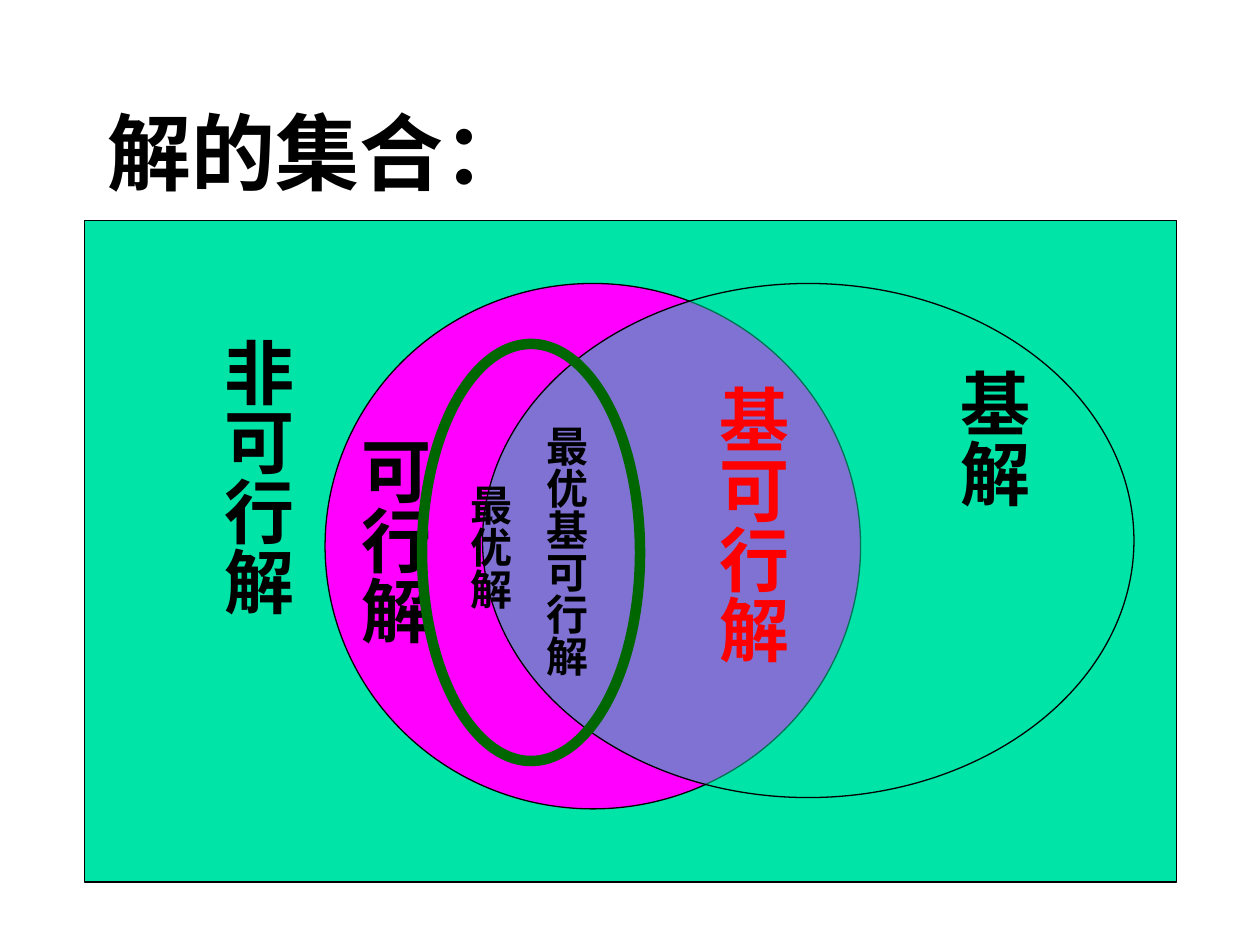
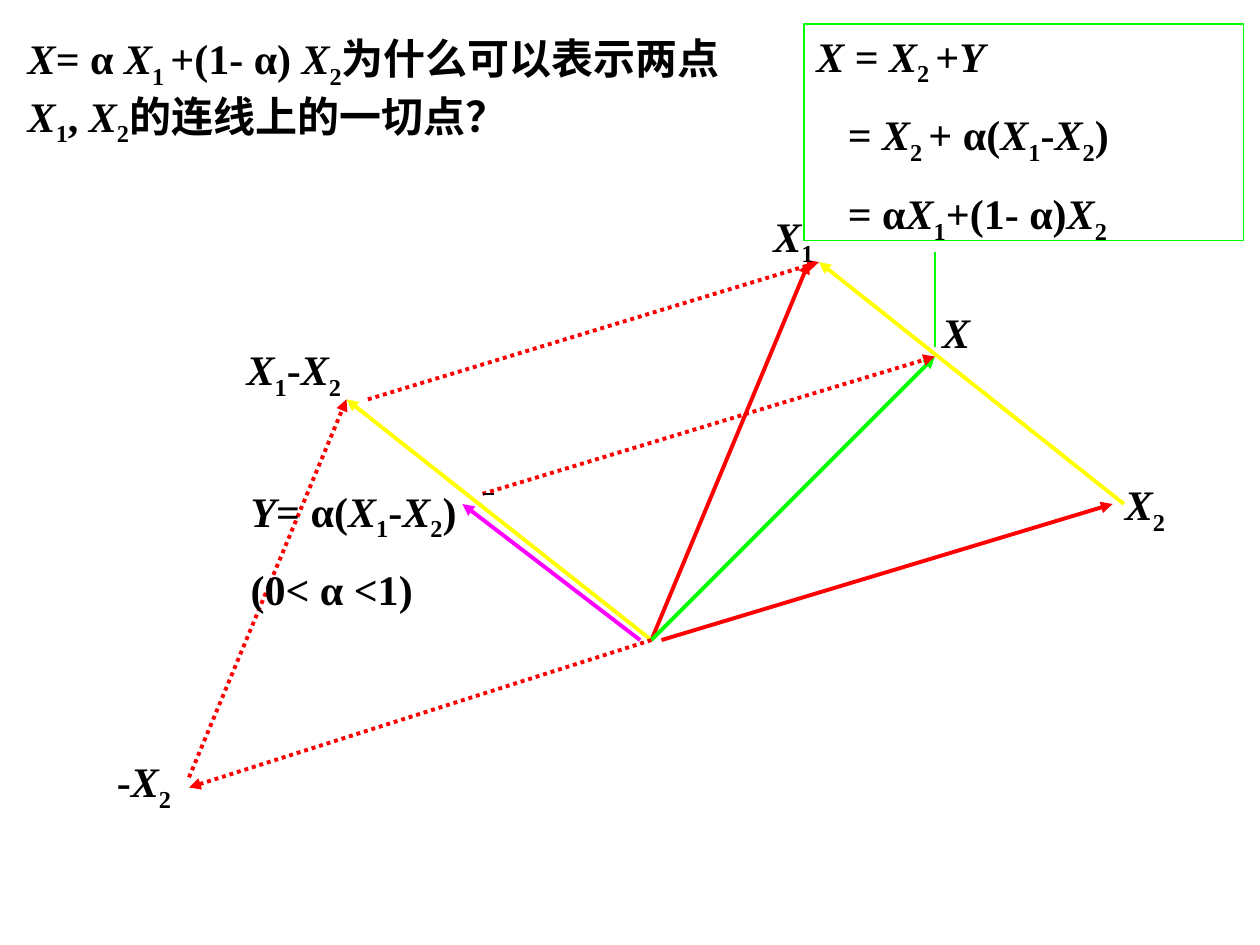
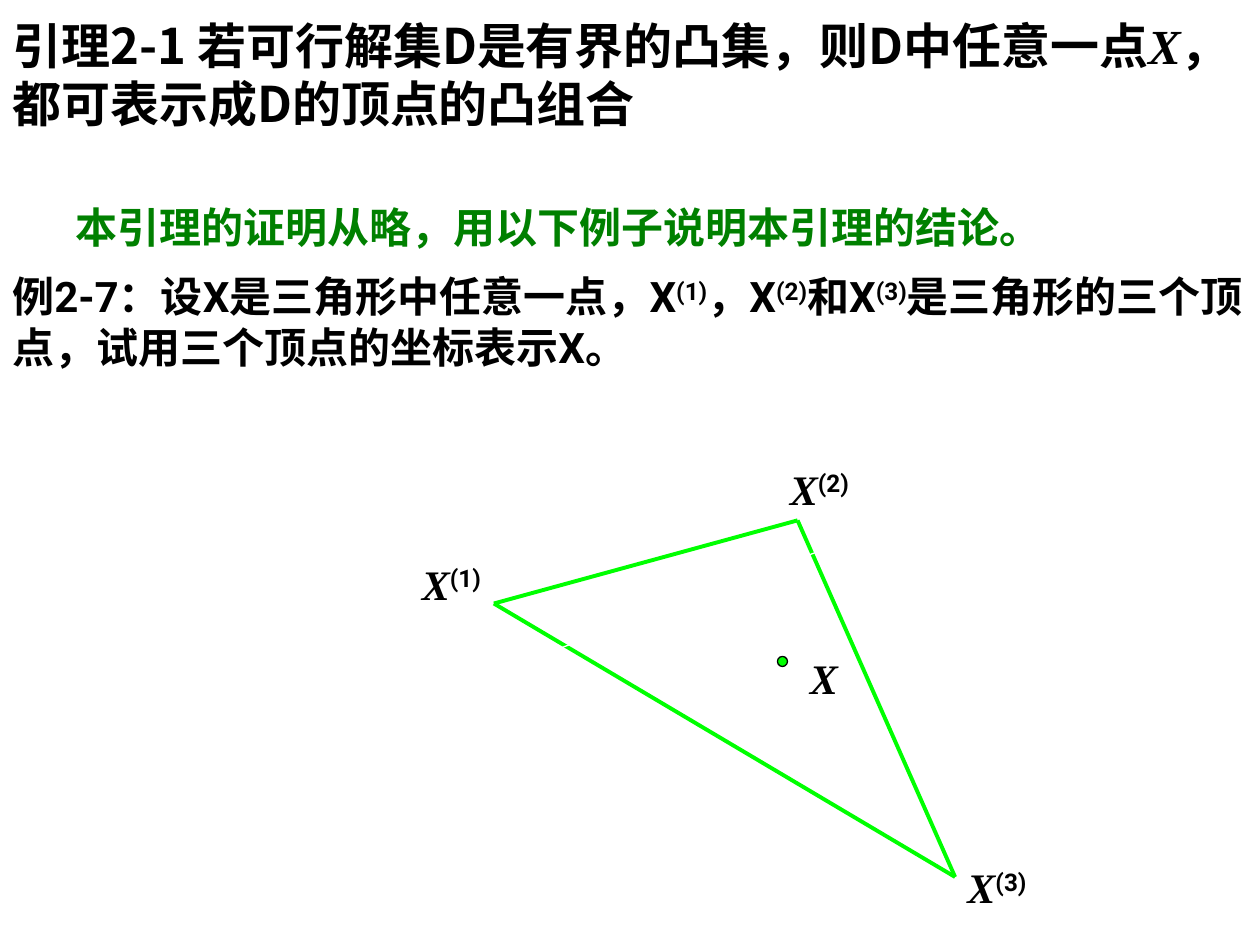
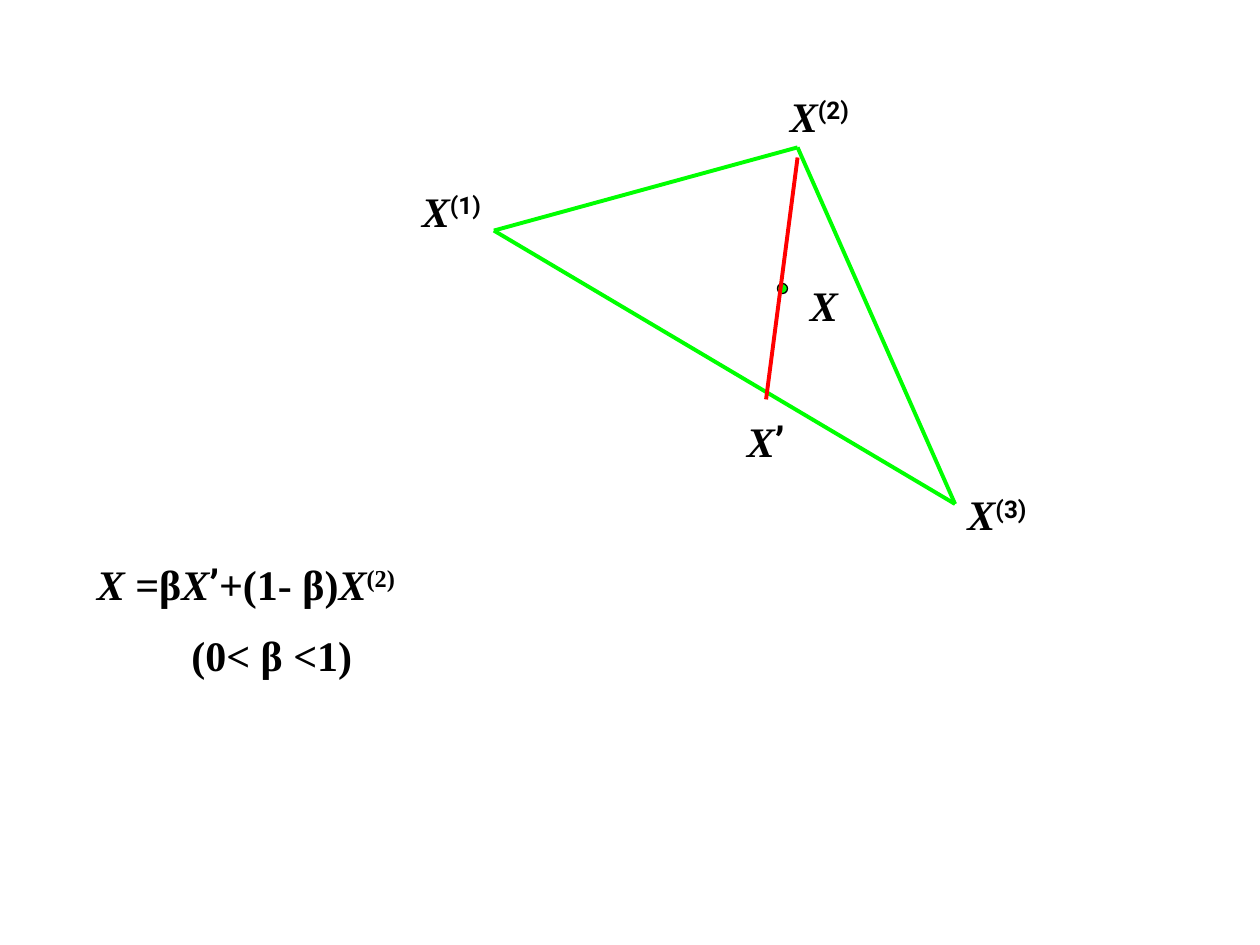
"""Build four slides on solution sets, convex combinations and the triangle lemma."""
import dataclasses
import typing

import lxml.etree
import pptx
import pptx.dml.color
import pptx.enum.dml
import pptx.enum.shapes
import pptx.enum.text
import pptx.oxml.ns
import pptx.util

Inches = pptx.util.Inches
Pt = pptx.util.Pt
Align = pptx.enum.text.PP_ALIGN
Box = tuple[float, float, float, float]
Point = tuple[float, float]

COLORS = {
    "black": "000000", "white": "FFFFFF", "teal": "00E4A8", "magenta": "FF00FF",
    "red": "FF0000", "yellow": "FFFF00", "lime": "00FF00", "ring": "006600", "note": "008000",
}
SERIF, SANS, CJK = "Times New Roman", "Roboto", "Noto Sans CJK SC"
TITLE_ONLY, TITLE_AND_BODY, BLANK = 5, 1, 6
GAP = 12.2


@dataclasses.dataclass(frozen=True)
class Run:
    text: str
    size: float = 24
    font: str = SERIF
    color: str = "black"
    italic: bool = False
    baseline: int = 0


@dataclasses.dataclass(frozen=True)
class Paragraph:
    runs: list[Run]
    align: Align = Align.LEFT
    indent: float = 0


@dataclasses.dataclass(frozen=True)
class Arrow:
    start: Point
    end: Point
    color: str
    dotted: bool = False


@dataclasses.dataclass(frozen=True)
class SetLabel:
    text: str
    box: Box
    size: float = 40
    font: str = SERIF
    color: str = "black"
    align: Align = Align.LEFT
    outline: str = ""


def var(name: str = "X") -> Run:
    return Run(name, italic=True)


def sub(text: str) -> Run:
    return Run(text, baseline=-25)


def sup(text: str, font: str = SANS) -> Run:
    return Run(text, font=font, baseline=30)


def difference() -> list[Run]:
    return [var(), sub("1"), Run("-"), var(), sub("2")]


def rgb(name: str) -> pptx.dml.color.RGBColor:
    return pptx.dml.color.RGBColor.from_string(COLORS[name])


def add_element(parent: typing.Any, tag: str, **attributes: str) -> None:
    lxml.etree.SubElement(parent, pptx.oxml.ns.qn(tag), attributes)


def add_run(paragraph: typing.Any, content: Run) -> None:
    run = paragraph.add_run()
    run.text = content.text
    run.font.size = Pt(content.size)
    run.font.bold = True
    run.font.italic = content.italic
    run.font.color.rgb = rgb(content.color)
    run.font.name = content.font
    properties = run._r.get_or_add_rPr()
    if content.baseline:
        properties.set("baseline", str(content.baseline * 1000))
    if any(ord(letter) > 0x2E80 for letter in content.text):
        add_element(properties, "a:ea", typeface=CJK)


def fill_text(holder: typing.Any, box: Box, paragraphs: list[Paragraph], vertical: bool = False) -> None:
    holder.left, holder.top, holder.width, holder.height = map(Inches, box)
    frame = holder.text_frame
    frame.word_wrap = True
    frame.auto_size = pptx.enum.text.MSO_AUTO_SIZE.SHAPE_TO_FIT_TEXT
    frame.vertical_anchor = pptx.enum.text.MSO_ANCHOR.TOP
    if vertical:
        frame._txBody.bodyPr.set("vert", "eaVert")
    for index, content in enumerate(paragraphs):
        paragraph = frame.add_paragraph() if index else frame.paragraphs[0]
        properties = paragraph._p.get_or_add_pPr()
        properties.set("marL", str(Inches(content.indent)))
        properties.set("indent", "0")
        add_element(properties, "a:buNone")
        paragraph.alignment = content.align
        paragraph.space_before = Pt(GAP if index else 0)
        for run in content.runs:
            add_run(paragraph, run)


def add_region(slide: typing.Any, preset: str, box: Box, fill: str = "", alpha: int = 100,
               line: str = "black", width: float = 0.75) -> typing.Any:
    kind = pptx.enum.shapes.MSO_SHAPE[preset]
    region = slide.shapes.add_shape(kind, *map(Inches, box))
    region.shadow.inherit = False
    if fill:
        region.fill.solid()
        region.fill.fore_color.rgb = rgb(fill)
        if alpha < 100:
            color = region._element.spPr.find(".//" + pptx.oxml.ns.qn("a:srgbClr"))
            add_element(color, "a:alpha", val=str(alpha * 1000))
    else:
        region.fill.background()
    region.line.color.rgb = rgb(line)
    region.line.width = Pt(width)
    return region


def add_text(slide: typing.Any, box: Box, *paragraphs: Paragraph, vertical: bool = False,
             outline: str = "") -> None:
    if outline:
        holder = add_region(slide, "RECTANGLE", box, line=outline)
    else:
        holder = slide.shapes.add_textbox(*map(Inches, box))
    fill_text(holder, box, list(paragraphs), vertical)


def add_label(slide: typing.Any, left: float, top: float, width: float, *runs: Run) -> None:
    add_text(slide, (left, top, width, 0.5), Paragraph(list(runs)))


def add_line(slide: typing.Any, start: Point, end: Point, color: str, width: float = 2.25,
             dotted: bool = False, arrow: bool = False) -> None:
    straight = pptx.enum.shapes.MSO_CONNECTOR.STRAIGHT
    line = slide.shapes.add_connector(straight, *map(Inches, start + end))
    line.line.color.rgb = rgb(color)
    line.line.width = Pt(width)
    if dotted:
        line.line.dash_style = pptx.enum.dml.MSO_LINE.ROUND_DOT
    if arrow:
        add_element(line.line._get_or_add_ln(), "a:tailEnd", type="triangle")
    add_element(line._element.spPr, "a:effectLst")


def draw_triangle(slide: typing.Any, drop: float) -> None:
    first, second, third = (3.92, 1.83 + drop), (6.33, 1.17 + drop), (7.58, 4 + drop)
    for start, end in ((first, second), (second, third), (first, third)):
        add_line(slide, start, end, "lime")
    for number, (left, top) in enumerate(((3.25, 1.42), (6.17, 0.67), (7.58, 3.83)), 1):
        add_label(slide, left, top + drop, 0.92, var(), sup(f"({number})"))
    add_region(slide, "OVAL", (6.17, 2.25 + drop, 0.08, 0.08), "lime")
    add_label(slide, 6.33, 2.17 + drop, 0.33, var())


def new_slide(deck: typing.Any, layout: int) -> typing.Any:
    return deck.slides.add_slide(deck.slide_layouts[layout])


def build_solution_sets(deck: typing.Any) -> None:
    slide = new_slide(deck, TITLE_ONLY)
    fill_text(slide.shapes.title, (0.75, 0.75, 4, 0.9), [Paragraph([Run("解的集合：", 48)])])

    def label_set(label: SetLabel) -> None:
        run = Run(label.text, label.size, label.font, label.color)
        add_text(slide, label.box, Paragraph([run], label.align), vertical=True,
                 outline=label.outline)

    add_region(slide, "RECTANGLE", (0.67, 1.75, 8.67, 5.25), "teal")
    label_set(SetLabel("非可行解", (1.54, 2.58, 0.88, 3.25), align=Align.CENTER, outline="teal"))
    add_region(slide, "OVAL", (2.58, 2.25, 4.25, 4.17), "magenta")
    label_set(SetLabel("可行解", (2.63, 3.36, 0.88, 2.25)))
    add_region(slide, "OVAL", (3.83, 2.25, 5.17, 4.08), "teal", alpha=50)
    label_set(SetLabel("基解", (7.38, 2.83, 0.88, 2.5), align=Align.CENTER))
    label_set(SetLabel("基可行解", (5.47, 2.96, 0.88, 3.07), color="red"))
    add_region(slide, "OVAL", (3.35, 2.73, 1.73, 3.31), line="ring", width=6)
    label_set(SetLabel("最优基可行解", (4.13, 3.28, 0.61, 2.33), 24, CJK))
    label_set(SetLabel("最优解", (3.53, 3.75, 0.61, 1.26), 24, CJK))


def build_convex_combination(deck: typing.Any) -> None:
    slide = new_slide(deck, TITLE_ONLY)
    question = [
        var(), Run("= α "), var(), sub("1 "), Run("+(1- α)"), var(" X"), sub("2"),
        Run("为什么可以表示两点"), var(), sub("1"), Run(", "), var(), sub("2"),
        Run("的连线上的一切点？"),
    ]
    fill_text(slide.shapes.title, (0.12, 0.21, 5.98, 0.91), [Paragraph(question)])

    origin, tip, x_point, minus_end = (5.17, 5.08), (6.5, 2.08), (7.42, 2.83), (2.75, 3.17)
    arrows = [
        Arrow(origin, (6.42, 2.08), "red"),
        Arrow((5.25, 5.08), (8.83, 4), "red"),
        Arrow((8.92, 4), tip, "yellow"),
        Arrow(origin, minus_end, "yellow"),
        Arrow(origin, x_point, "lime"),
        Arrow((1.5, 6.17), minus_end, "red", True),
        Arrow((2.92, 3.17), tip, "red", True),
        Arrow(origin, (1.5, 6.25), "red", True),
        Arrow((3.83, 3.92), x_point, "red", True),
        Arrow((5.08, 5.08), (3.67, 4), "magenta"),
    ]
    for arrow in arrows:
        add_line(slide, arrow.start, arrow.end, arrow.color, dotted=arrow.dotted, arrow=True)
    add_line(slide, (3.83, 3.92), (3.92, 3.92), "black", 0.75)
    add_line(slide, (7.42, 2), (7.42, 2.75), "lime", 0.75)

    add_label(slide, 6.04, 1.62, 0.83, var(), sub("1"))
    add_label(slide, 8.83, 3.75, 0.83, var(), sub("2"))
    add_label(slide, 7.38, 2.38, 0.83, var())
    add_label(slide, 0.83, 5.95, 0.83, Run("-"), var(), sub("2"))
    add_label(slide, 1.86, 2.68, 1.67, *difference())

    add_text(
        slide, (6.38, 0.19, 3.49, 1.72),
        Paragraph([var("X "), Run("="), var(" X"), sub("2 "), Run("+"), var("Y")]),
        Paragraph([Run("= "), var(), sub("2 "), Run("+ α("), *difference(), Run(")")], indent=0.25),
        Paragraph([Run("= α"), var(), sub("1"), Run("+(1- α)"), var(), sub("2")], indent=0.25),
        outline="lime",
    )
    add_text(
        slide, (1.89, 3.8, 2.42, 1.11),
        Paragraph([var("Y"), Run("= α("), *difference(), Run(")")]),
        Paragraph([Run("(0< α <1)")]),
    )


def build_lemma(deck: typing.Any) -> None:
    slide = new_slide(deck, TITLE_AND_BODY)
    lemma = [
        Run("引理2-1 若可行解集D是有界的凸集，则D中任意一点", 28, CJK),
        Run("X", 28, italic=True),
        Run("，都可表示成D的顶点的凸组合", 28, CJK),
    ]
    fill_text(slide.shapes.title, (0, 0.07, 10, 1.04), [Paragraph(lemma)])
    remark = Run("本引理的证明从略，用以下例子说明本引理的结论。", font=CJK, color="note")
    fill_text(slide.placeholders[1], (0, 1.55, 9.24, 0.51),
              [Paragraph([remark], Align.JUSTIFY, 0.5)])
    example = [
        Run("例2-7：设X是三角形中任意一点，X", font=SANS), sup("(1)"),
        Run("，X", font=SANS), sup("(2)"), Run("和X", font=SANS), sup("(3)"),
        Run("是三角形的三个顶点，试用三个顶点的坐标表示X。", font=SANS),
    ]
    draw_triangle(slide, 2.96)
    add_line(slide, (2.83, 5.75), (7.5, 4), "white", 0.75, arrow=True)
    add_text(slide, (0, 2.1, 10, 0.91), Paragraph(example))


def build_triangle_step(deck: typing.Any) -> None:
    slide = new_slide(deck, BLANK)
    prime = Run("’", font=SANS)
    combination = [var(), Run(" =β"), var(), prime, Run("+(1- β)"), var(), sup("(2)", SERIF)]
    add_text(slide, (0.67, 4.38, 5.28, 1.11), Paragraph(combination),
             Paragraph([Run("(0< β <1)")], indent=0.75), outline="white")
    draw_triangle(slide, 0)
    add_line(slide, (6.33, 1.25), (6.08, 3.17), "red")
    add_label(slide, 5.83, 3.25, 0.58, var(), prime)


def main() -> None:
    deck = pptx.Presentation()
    deck.slide_width, deck.slide_height = Inches(10), Inches(7.5)
    build_solution_sets(deck)
    build_convex_combination(deck)
    build_lemma(deck)
    build_triangle_step(deck)
    deck.save("out.pptx")


if __name__ == "__main__":
    main()
